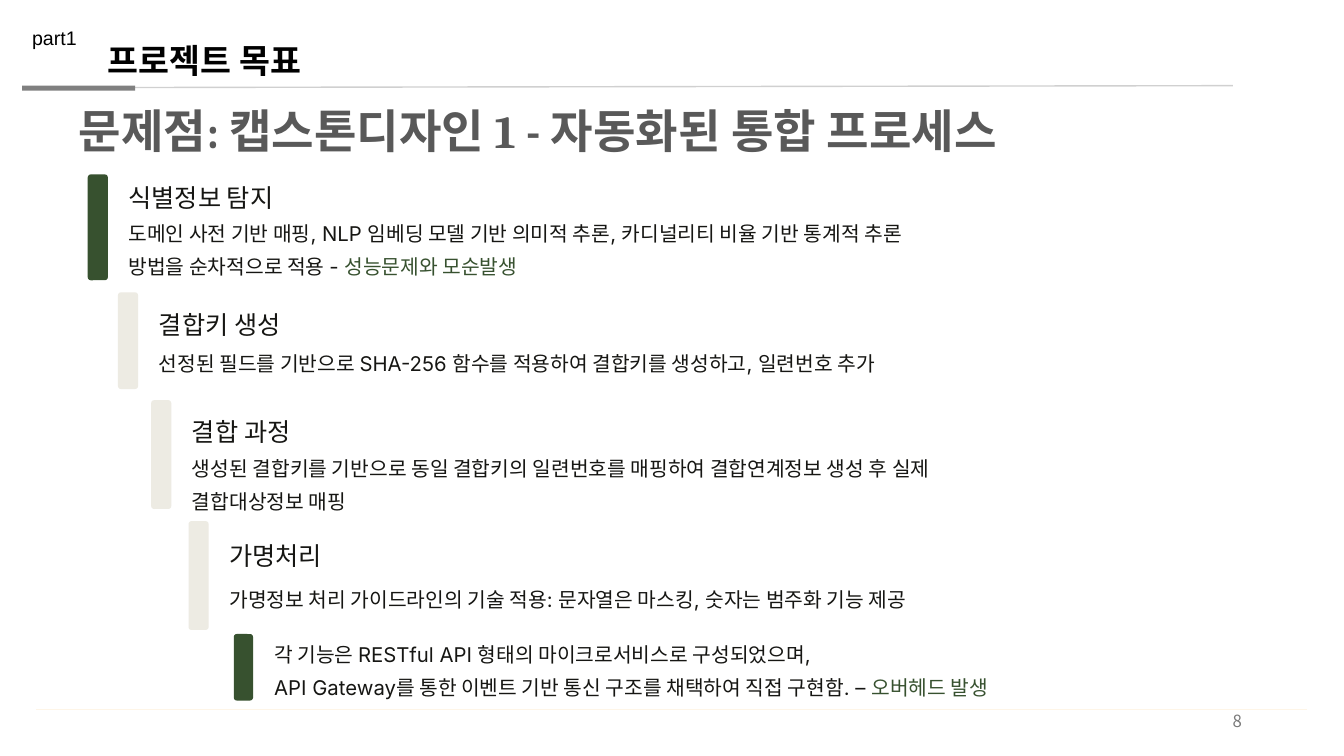
from lxml.etree import SubElement
from pptx import Presentation
from pptx.dml.color import RGBColor
from pptx.enum.shapes import MSO_CONNECTOR, MSO_SHAPE
from pptx.enum.text import MSO_ANCHOR, MSO_AUTO_SIZE, PP_ALIGN
from pptx.oxml.ns import qn
from pptx.util import Inches, Pt

WIDE, HIGH = Inches(13.333), Inches(7.5)
INK = {"black": "000000", "text": "161613", "head": "595959", "gray": "808080",
       "page": "797979", "rule": "D0D0D0", "cream": "FEF5E7",
       "green": "37512F", "sand": "EDEBE3"}
STEPS = [
    ((6.53, 23.07, 14), "green", "식별정보 탐지", 0.93, 5.07, 61.2,
     [("도메인 사전 기반 매핑, NLP 임베딩 모델 기반 의미적 추론, 카디널리티 비율 기반 통계적 추론 "
       "방법을 순차적으로 적용 - ", "text"), ("성능문제와 모순발생", "green")]),
    ((8.78, 38.67, 12.8), "sand", "결합키 생성", 2.13, 6.67, 58.88,
     [("선정된 필드를 기반으로 SHA-256 함수를 적용하여 결합키를 생성하고, 일련번호 추가", "text")]),
    ((11.25, 52.93, 14.4), "sand", "결합 과정", 2, 6.27, 56.63,
     [("생성된 결합키를 기반으로 동일 결합키의 일련번호를 매핑하여 결합연계정보 생성 후 실제 "
       "결합대상정보 매핑", "text")]),
    ((14.03, 68.93, 14.4), "sand", "가명처리", 2.4, 7.6, 56,
     [("가명정보 처리 가이드라인의 기술 적용: 문자열은 마스킹, 숫자는 범주화 기능 제공", "text")]),
]
NOTE = [
    [("각 기능은 RESTful API 형태의 마이크로서비스로 구성되었으며,", "text")],
    [("API Gateway를 통한 이벤트 기반 통신 구조를 채택하여 직접 구현함. – ", "text"),
     ("오버헤드 발생", "green")],
]


def tint(name):
    """Return the named colour."""
    return RGBColor.from_string(INK[name])


def span(left, top, width, height):
    """Turn percent shares of the slide into lengths."""
    return (int(WIDE * left / 100), int(HIGH * top / 100),
            int(WIDE * width / 100), int(HIGH * height / 100))


def write(slide, box, paras, size, font, shape=None, bold=False, lead=None,
          pad=(0, 0), align=PP_ALIGN.LEFT, anchor=MSO_ANCHOR.TOP):
    """Write paragraphs of (text, colour) runs into a box."""
    area = span(*box)
    shape = shape or slide.shapes.add_textbox(*area)
    shape.left, shape.top, shape.width, shape.height = area
    frame = shape.text_frame
    frame.word_wrap, frame.auto_size = True, MSO_AUTO_SIZE.NONE
    frame.vertical_anchor = anchor
    frame.margin_left = frame.margin_right = Inches(pad[0])
    frame.margin_top = frame.margin_bottom = Inches(pad[1])
    for i, runs in enumerate(paras):
        para = frame.add_paragraph() if i else frame.paragraphs[0]
        para.alignment = align
        if lead:
            para.line_spacing = Pt(lead)
        for words, color in runs:
            run = para.add_run()
            run.text = words
            run.font.size, run.font.name, run.font.bold = Pt(size), font, bold
            run.font.color.rgb = tint(color)


def bar(slide, box, color, kind=MSO_SHAPE.ROUNDED_RECTANGLE):
    """Draw a plain filled bar."""
    shape = slide.shapes.add_shape(kind, *span(*box))
    shape.shadow.inherit = False
    shape.fill.solid()
    shape.fill.fore_color.rgb = tint(color)
    shape.line.fill.background()
    if kind == MSO_SHAPE.ROUNDED_RECTANGLE:
        shape.adjustments[0] = 0.15


def rule(slide, box, color, weight):
    """Draw a thin line across a box."""
    left, top, width, height = span(*box)
    line = slide.shapes.add_connector(MSO_CONNECTOR.STRAIGHT, left, top,
                                      left + width, top + height)
    line.line.color.rgb, line.line.width = tint(color), Pt(weight)
    SubElement(line._element.spPr, qn("a:effectLst"))


def header(slide):
    """Place the part label, title, rule and heading."""
    pad = (0.1, 0.05)
    rule(slide, (3.38, 11.6, 88.35, -0.27), "rule", 1)
    bar(slide, (1.65, 11.33, 8.4, 0.67), "gray", MSO_SHAPE.RECTANGLE)
    write(slide, (1.65, 2.8, 6.45, 4.53), [[("part1", "black")]], 14, "Arial", pad=pad)
    write(slide, (7.28, 4.67, 63.3, 6.67), [[("프로젝트 목표", "black")]], 24, "Arial",
          shape=slide.shapes.title, bold=True, pad=pad)
    write(slide, (5.85, 16.67, 80, 8.67),
          [[("문제점: 캡스톤디자인 1 - 자동화된 통합 프로세스", "head")]],
          33, "Cambria", bold=True, lead=22.9)


def step(slide, box, color, name, drop, fall, width, runs):
    """Place one step: its bar, name and body."""
    left, top, height = box
    inner = left + 3.04
    bar(slide, (left, top, 1.5, height), color)
    write(slide, (inner, top + drop, 19.2, 3.2), [[(name, "text")]], 18, "Roboto", lead=22.5)
    write(slide, (inner, top + fall, width, 6.2), [runs], 14.5, "Inter", lead=23.5)


def footer(slide, top):
    """Place the closing note, bottom rule and page number."""
    bar(slide, (17.4, top, 1.43, 8.8), "green")
    write(slide, (20.4, top, 64.28, 8.67), NOTE, 14.5, "Inter", lead=23.5)
    rule(slide, (2.7, top + 10, 94.58, 0), "cream", 0.75)
    write(slide, (70.65, top + 8.8, 22.5, 5.33), [[("8", "page")]], 12, "Noto Sans CJK KR",
          pad=(0.1, 0.05), align=PP_ALIGN.RIGHT, anchor=MSO_ANCHOR.MIDDLE)


def main():
    """Build and save the slide."""
    deck = Presentation()
    deck.slide_width, deck.slide_height = WIDE, HIGH
    slide = deck.slides.add_slide(deck.slide_layouts[5])
    header(slide)
    for item in STEPS:
        step(slide, *item)
    footer(slide, 83.87)
    deck.save("out.pptx")


if __name__ == "__main__":
    main()
